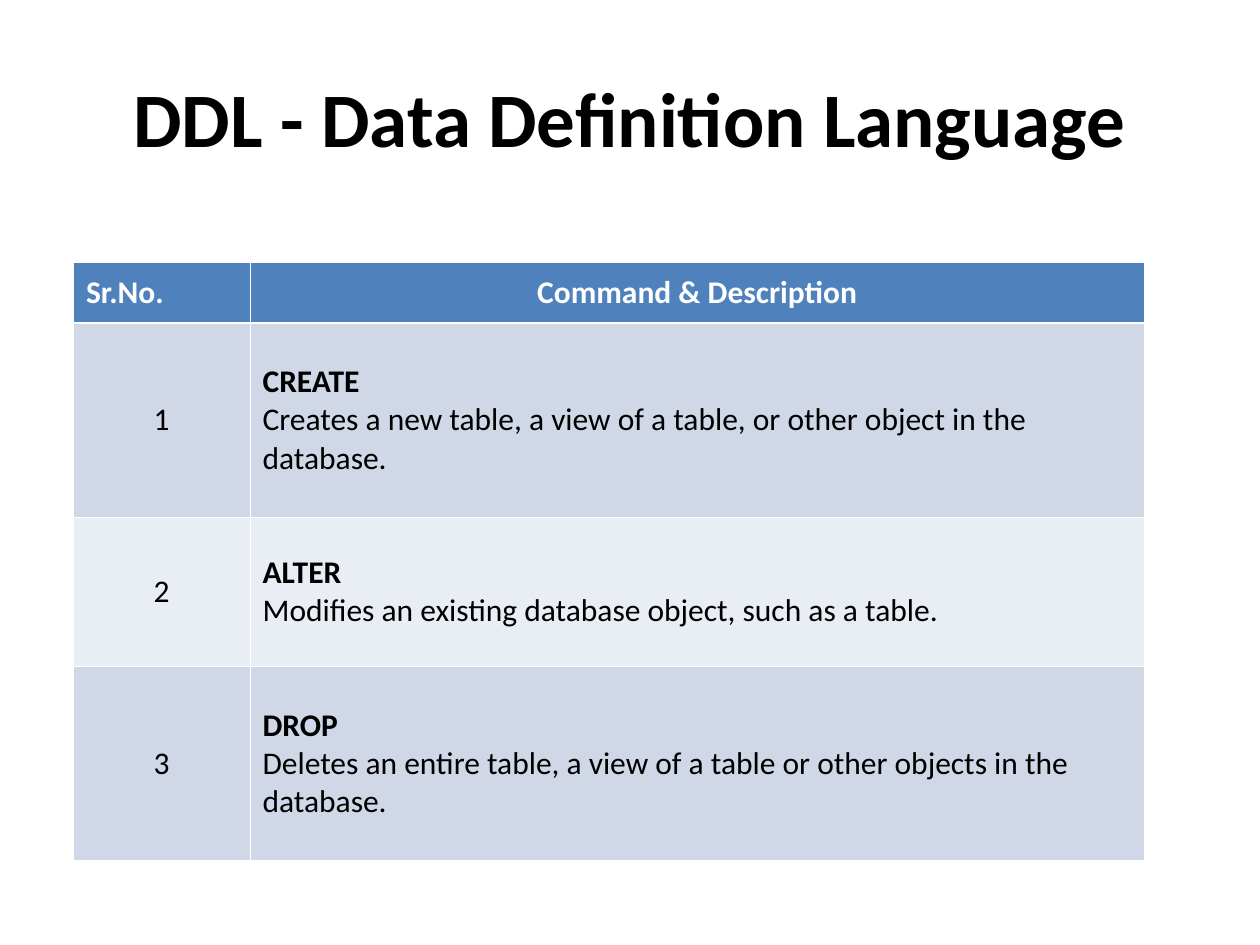
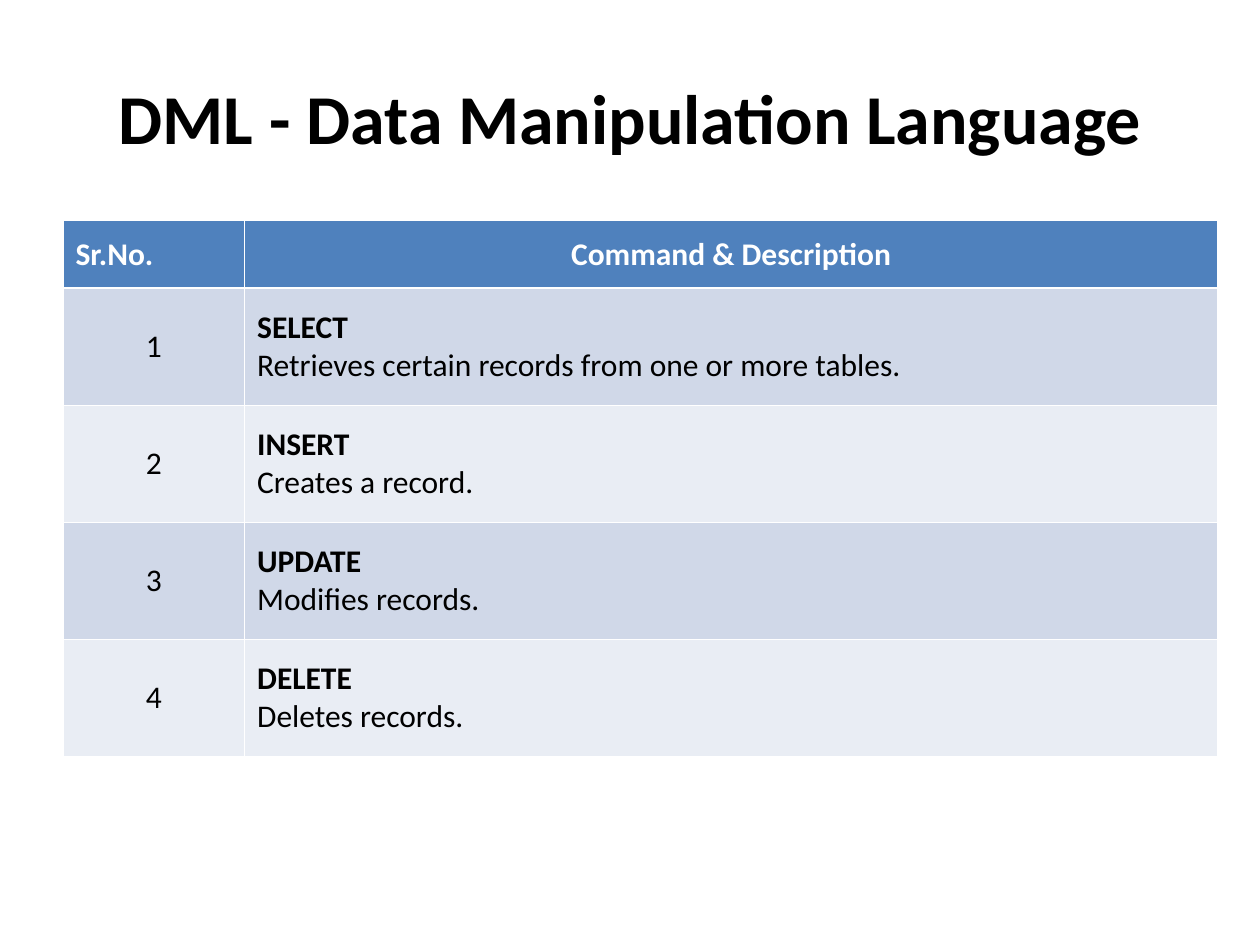
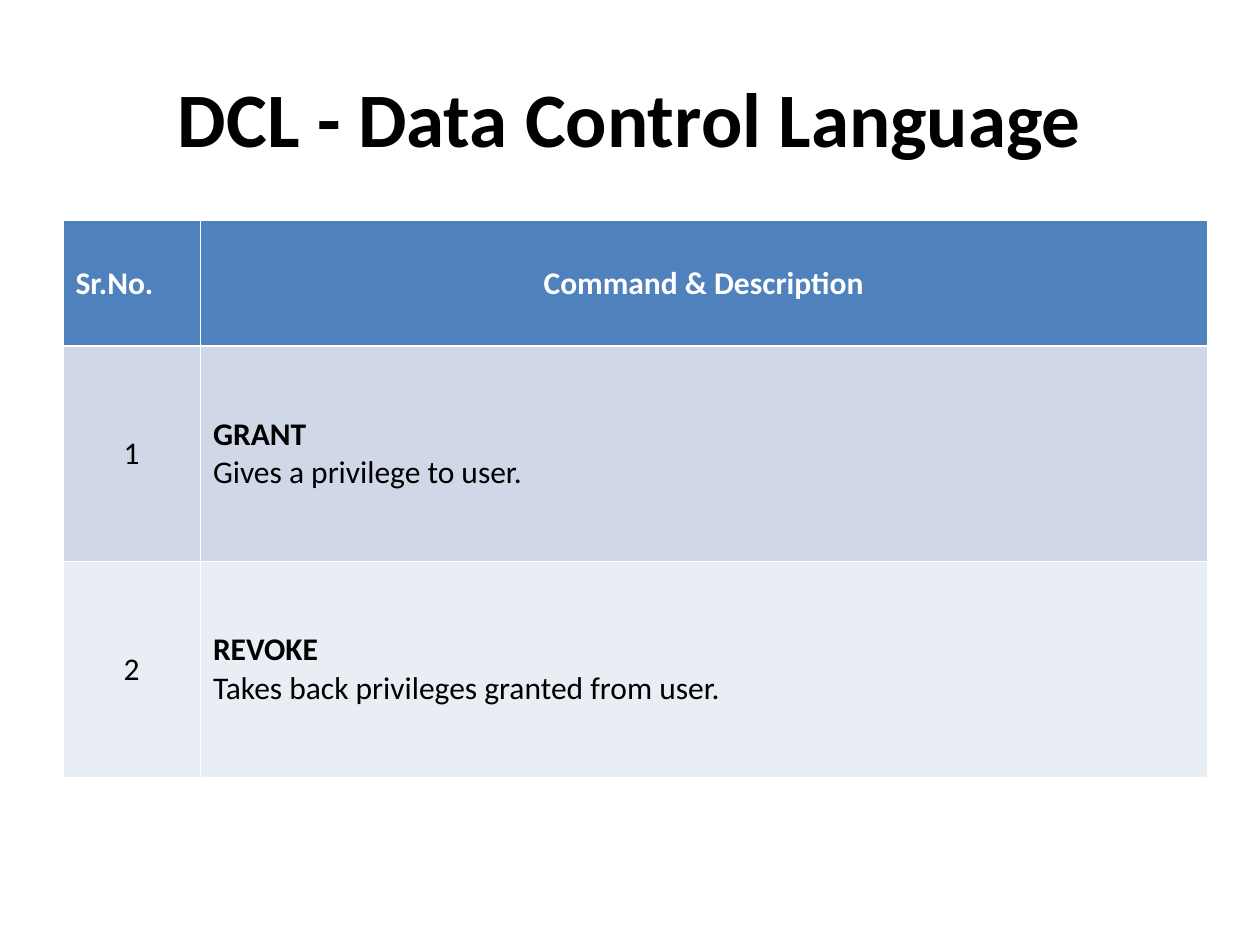
import dataclasses

import pptx
import pptx.dml.color
import pptx.enum.text
import pptx.oxml
import pptx.oxml.ns
import pptx.util

Cm = pptx.util.Cm
Pt = pptx.util.Pt
RGB = pptx.dml.color.RGBColor.from_string
ALIGN = pptx.enum.text.PP_ALIGN
MIDDLE = pptx.enum.text.MSO_ANCHOR.MIDDLE


@dataclasses.dataclass(frozen=True)
class Theme:
    font: str = "Calibri"
    text: str = "000000"
    header_text: str = "FFFFFF"
    header_fill: str = "4F81BD"
    bands: tuple = ("D0D8E8", "E9EDF4")
    border: str = "FFFFFF"
    thin: float = 0.45
    thick: float = 1.47
    title_size: int = 44
    long_title_size: int = 40
    table_size: int = 18


THEME = Theme()
TITLE_BOX = (1.27, 0.76, 22.86, 3.18)
HEADINGS = ("Sr.No.", "Command & Description")

SLIDES = (
    {
        "title": "DDL - Data Definition Language",
        "title_size": THEME.title_size,
        "origin": (1.48, 5.29),
        "cols": (3.56, 18.03),
        "rows": (1.22, 3.91, 3.02, 3.91),
        "commands": (
            ("CREATE", "Creates a new table, a view of a table, or other object in the database."),
            ("ALTER", "Modifies an existing database object, such as a table."),
            ("DROP", "Deletes an entire table, a view of a table or other objects in the database."),
        ),
    },
    {
        "title": "DML - Data Manipulation Language",
        "title_size": THEME.long_title_size,
        "origin": (1.27, 4.45),
        "cols": (3.66, 19.62),
        "rows": (1.36,) + (2.36,) * 4,
        "commands": (
            ("SELECT", "Retrieves certain records from one or more tables."),
            ("INSERT", "Creates a record."),
            ("UPDATE", "Modifies records."),
            ("DELETE", "Deletes records."),
        ),
    },
    {
        "title": "DCL - Data Control Language",
        "title_size": THEME.title_size,
        "origin": (1.27, 4.45),
        "cols": (2.77, 20.29),
        "rows": (2.52,) + (4.35,) * 2,
        "commands": (
            ("GRANT", "Gives a privilege to user."),
            ("REVOKE", "Takes back privileges granted from user."),
        ),
    },
)


def write_paragraph(p, text, size, color, bold, align):
    p.alignment = align
    r = p.add_run()
    r.text = text
    for name, value in {"name": THEME.font, "size": Pt(size), "bold": bold}.items():
        setattr(r.font, name, value)
    r.font.color.rgb = RGB(color)


def add_title(s, box, text, size):
    sp = s.shapes.title
    for name, value in zip(("left", "top", "width", "height"), box):
        setattr(sp, name, Cm(value))
    tf = sp.text_frame
    tf.vertical_anchor = MIDDLE
    write_paragraph(tf.paragraphs[0], text, size, THEME.text, True, ALIGN.CENTER)


def set_borders(cell, top, bottom):
    tc_pr = cell._tc.get_or_add_tcPr()
    widths = {"lnL": THEME.thin, "lnR": THEME.thin, "lnT": top, "lnB": bottom}
    for tag, width in widths.items():
        tc_pr.append(pptx.oxml.parse_xml(
            f'<a:{tag} {pptx.oxml.ns.nsdecls("a")} w="{Pt(width)}">'
            f'<a:solidFill><a:srgbClr val="{THEME.border}"/></a:solidFill></a:{tag}>'
        ))


def fill_cell(cell, row, lines, align):
    header = row == 0
    set_borders(
        cell,
        THEME.thick if row == 1 else THEME.thin,
        THEME.thick if header else THEME.thin,
    )
    cell.fill.solid()
    cell.fill.fore_color.rgb = RGB(THEME.header_fill if header else THEME.bands[(row - 1) % 2])
    cell.vertical_anchor = MIDDLE
    color = THEME.header_text if header else THEME.text
    tf = cell.text_frame
    for i, (text, bold) in enumerate(lines):
        p = tf.add_paragraph() if i else tf.paragraphs[0]
        write_paragraph(p, text, THEME.table_size, color, bold, align)


def add_command_table(s, origin, cols, rows, commands):
    box = [Cm(v) for v in (*origin, sum(cols), sum(rows))]
    table = s.shapes.add_table(len(rows), len(cols), *box).table
    table.horz_banding = False
    for column, width in zip(table.columns, cols):
        column.width = Cm(width)
    for row, height in zip(table.rows, rows):
        row.height = Cm(height)
    for col, (heading, align) in enumerate(zip(HEADINGS, (ALIGN.LEFT, ALIGN.CENTER))):
        fill_cell(table.cell(0, col), 0, [(heading, True)], align)
    for row, (command, description) in enumerate(commands, 1):
        fill_cell(table.cell(row, 0), row, [(str(row), False)], ALIGN.CENTER)
        fill_cell(table.cell(row, 1), row, [(command, True), (description, False)], ALIGN.LEFT)


def add_command_slide(prs, title, title_size, **table):
    s = prs.slides.add_slide(prs.slide_layouts.get_by_name("Title Only"))
    add_title(s, TITLE_BOX, title, title_size)
    add_command_table(s, **table)


def main():
    prs = pptx.Presentation()
    prs.slide_width, prs.slide_height = Cm(25.4), Cm(19.05)
    for content in SLIDES:
        add_command_slide(prs, **content)
    prs.save("out.pptx")


if __name__ == "__main__":
    main()
